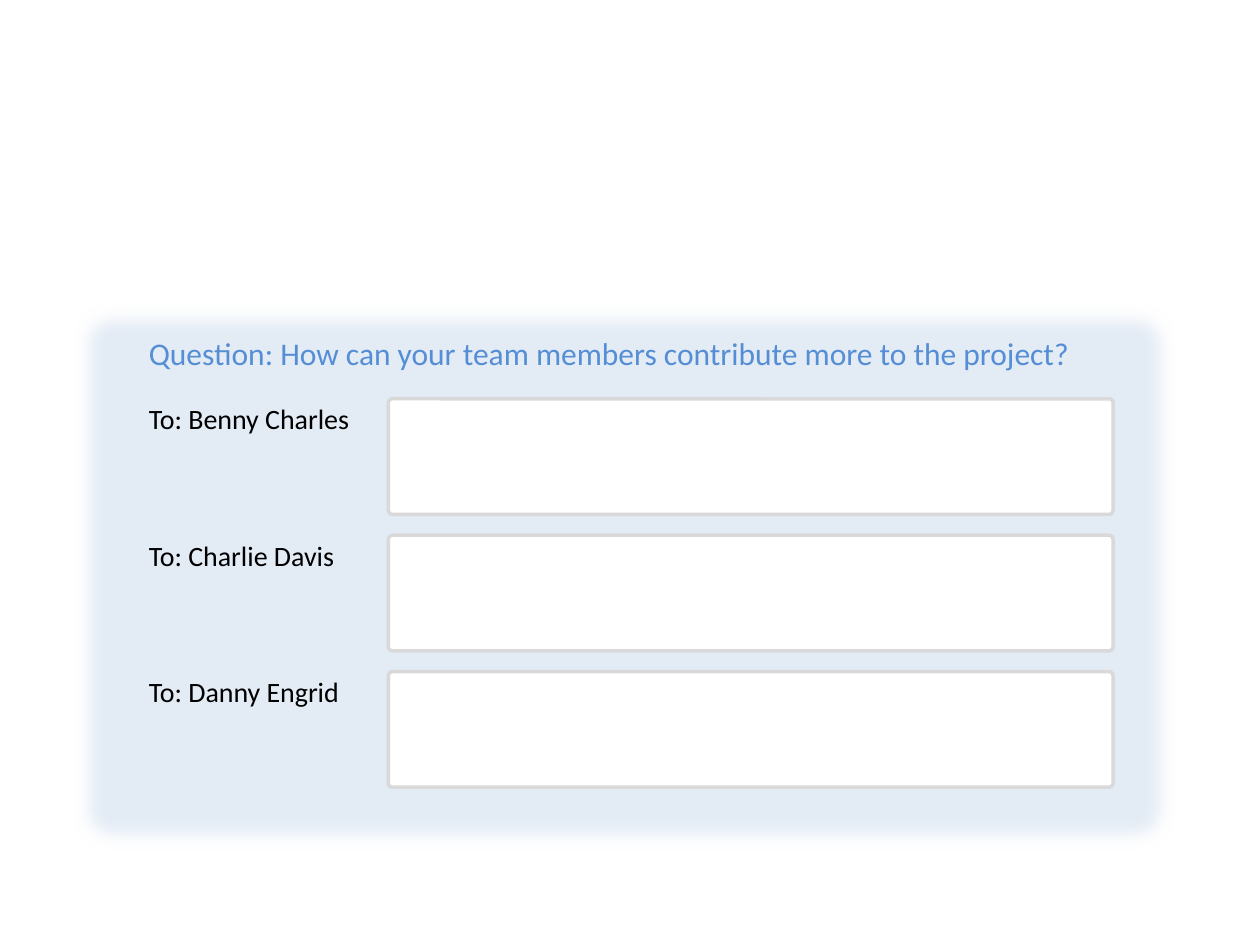
from lxml import etree
from pptx import Presentation
from pptx.dml.color import RGBColor
from pptx.enum.shapes import MSO_SHAPE
from pptx.oxml.ns import qn
from pptx.util import Cm, Pt

ROUNDED = MSO_SHAPE.ROUNDED_RECTANGLE

PANEL_FILL, FIELD_FILL, FIELD_LINE = "E3EBF5", "FFFFFF", "D9D9D9"
QUESTION_FORMAT = {"name": "Calibri", "size": Pt(18)}
LABEL_FORMAT = {"name": "Calibri", "size": Pt(16)}

QUESTION = "Question: How can your team members contribute more to the project?"
RECIPIENTS = ["Benny Charles", "Charlie Davis", "Danny Engrid"]
FIELD_PITCH = 2.75


def color(value):
    return RGBColor.from_string(value)


def add_rounded_box(shapes, left, top, width, height, corner, fill, line=None):
    shape = shapes.add_shape(ROUNDED, Cm(left), Cm(top), Cm(width), Cm(height))
    shape.shadow.inherit = False
    shape.adjustments[0] = corner
    shape.fill.solid()
    shape.fill.fore_color.rgb = color(fill)
    if line:
        shape.line.color.rgb = color(line)
        shape.line.width = Pt(2)
    else:
        shape.line.fill.background()
    return shape


def soften_edges(shape, radius):
    effects = shape._element.spPr.find(qn("a:effectLst"))
    etree.SubElement(effects, qn("a:softEdge"), rad=str(radius))


def add_text(shapes, left, top, width, height, text, text_color, font_format):
    shape = shapes.add_textbox(Cm(left), Cm(top), Cm(width), Cm(height))
    shape.text_frame.word_wrap = True
    paragraph = shape.text_frame.paragraphs[0]
    run = paragraph.add_run()
    run.text = text
    for name, value in font_format.items():
        setattr(run.font, name, value)
    run.font.color.rgb = color(text_color)


def add_answer_row(shapes, left, top, recipient):
    """Label on the left, empty answer field on the right."""
    add_rounded_box(shapes, left + 5.08, top, 14.61, 2.33, 0.035,
                    FIELD_FILL, FIELD_LINE)
    add_text(shapes, left, top - 0.06, 5.08, 0.94, f"To: {recipient}",
             "000000", LABEL_FORMAT)


def add_question_panel(slide, left, top, width, height):
    shapes = slide.shapes.add_group_shape().shapes

    # Soft-edged background
    panel = add_rounded_box(shapes, left, top, width, height, 0.045, PANEL_FILL)
    soften_edges(panel, Pt(10))

    # Question and one answer row per recipient
    content_left = left + 1.27
    add_text(shapes, content_left, top + 0.46, 20.12, 1.02, QUESTION,
             "558ED5", QUESTION_FORMAT)
    for index, recipient in enumerate(RECIPIENTS):
        add_answer_row(shapes, content_left, top + 1.9 + index * FIELD_PITCH,
                       recipient)


def main():
    presentation = Presentation()
    presentation.slide_width, presentation.slide_height = Cm(25.4), Cm(19.05)
    slide = presentation.slides.add_slide(presentation.slide_layouts[6])
    add_question_panel(slide, 1.48, 6.14, 22.23, 11)
    presentation.save("out.pptx")


if __name__ == "__main__":
    main()
